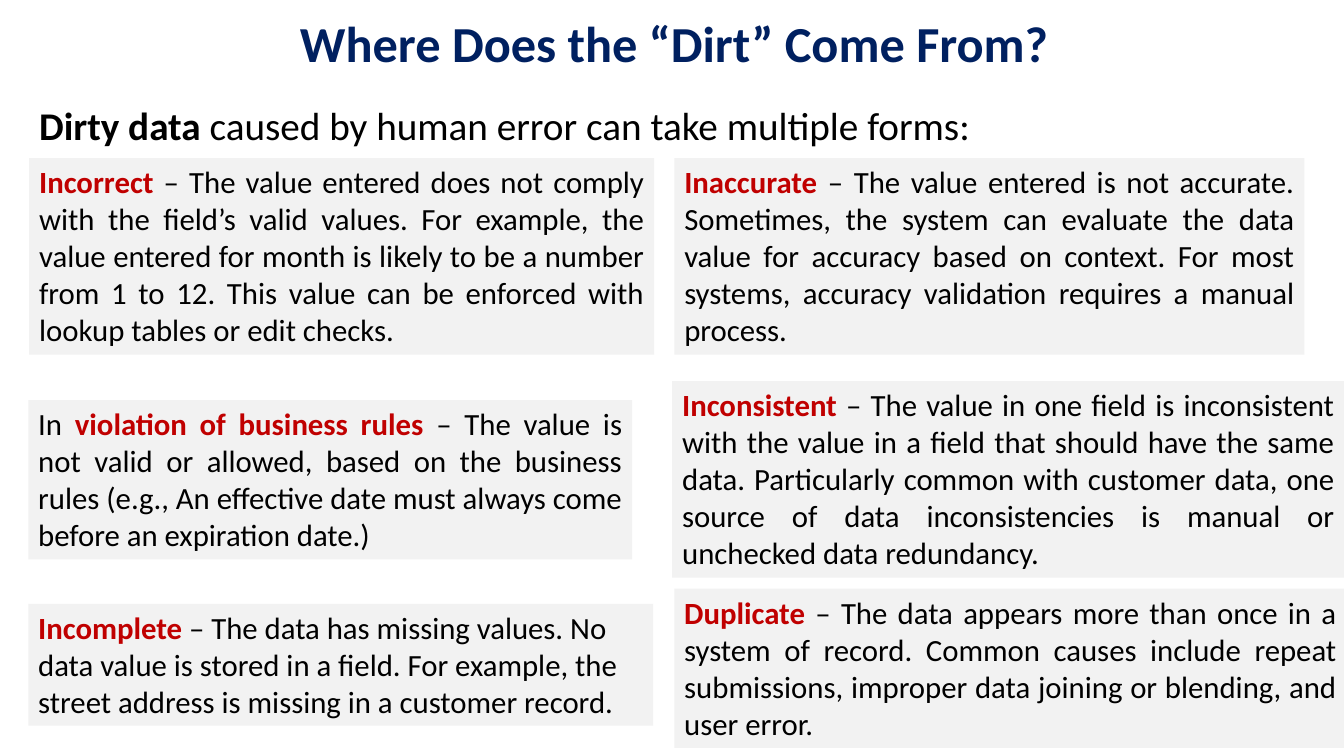
from pptx import Presentation
from pptx.dml.color import RGBColor
from pptx.enum.shapes import MSO_SHAPE as Shape
from pptx.enum.text import MSO_ANCHOR as Anchor, PP_ALIGN as Align
from pptx.util import Pt

NAVY = RGBColor(0x00, 0x20, 0x60)
BLACK = RGBColor(0x00, 0x00, 0x00)
RED = RGBColor(0xC0, 0x00, 0x00)
GREY = RGBColor(0xF2, 0xF2, 0xF2)

CARDS = [
    ((20.9, 113, 446.4, 140.4), Align.JUSTIFY, "", "Incorrect",
     " – The value entered does not comply with the field’s valid values. For example, the value "
     "entered for month is likely to be a number from 1 to 12. This value can be enforced with "
     "lookup tables or edit checks."),
    ((481.7, 113, 450, 140.4), Align.JUSTIFY, "", "Inaccurate",
     " – The value entered is not accurate. Sometimes, the system can evaluate the data value for "
     "accuracy based on context. For most systems, accuracy validation requires a manual process."),
    ((20.2, 285.8, 431.3, 113.8), Align.JUSTIFY, "In ", "violation of business rules",
     " – The value is not valid or allowed, based on the business rules (e.g., An effective date "
     "must always come before an expiration date.)"),
    ((480.2, 272.2, 480.2, 140.4), Align.JUSTIFY, "", "Inconsistent",
     " – The value in one field is inconsistent with the value in a field that should have the "
     "same data. Particularly common with customer data, one source of data inconsistencies is "
     "manual or unchecked data redundancy."),
    ((20.2, 431.3, 446.4, 87.1), Align.LEFT, "", "Incomplete",
     " – The data has missing values. No data value is stored in a field. For example, the street "
     "address is missing in a customer record."),
    ((481.7, 420.5, 480.2, 113.8), Align.JUSTIFY, "", "Duplicate",
     " – The data appears more than once in a system of record. Common causes include repeat "
     "submissions, improper data joining or blending, and user error."),
]


def write_text(box, spans, size, align, anchor=Anchor.TOP, spacing=1.0):
    """Fill a box with one paragraph of (text, colour, bold) spans."""
    frame = box.text_frame
    frame.word_wrap = True
    frame.vertical_anchor = anchor
    para = frame.paragraphs[0]
    para.alignment = align
    para.line_spacing = spacing
    para.font.name = "Calibri"
    para.font.size = Pt(size)
    for text, colour, bold in spans:
        span = para.add_run()
        span.text = text
        span.font.color.rgb = colour
        span.font.bold = bold


def add_label(page, bounds, spans, size, align, anchor, spacing):
    """Add a plain text box."""
    box = page.shapes.add_textbox(*map(Pt, bounds))
    write_text(box, spans, size, align, anchor, spacing)


def add_card(page, bounds, align, lead, term, meaning):
    """Add a grey card that defines one form of dirty data."""
    card = page.shapes.add_shape(Shape.RECTANGLE, *map(Pt, bounds))
    card.shadow.inherit = False
    card.fill.solid()
    card.fill.fore_color.rgb = GREY
    card.line.fill.background()
    spans = [(lead, BLACK, False), (term, RED, True), (meaning, BLACK, False)]
    write_text(card, [span for span in spans if span[0]], 22, align)


def main():
    """Build the slide and save it."""
    deck = Presentation()
    deck.slide_width, deck.slide_height = Pt(960), Pt(540)
    page = deck.slides.add_slide(deck.slide_layouts[6])
    add_label(page, (67.7, 5.8, 828, 54.7),
              [("Where Does the “Dirt” Come From?", NAVY, True)],
              36, Align.CENTER, Anchor.MIDDLE, 0.9)
    add_label(page, (20.9, 75.6, 828, 37.4),
              [("Dirty data ", BLACK, True),
               ("caused by human error can take multiple forms:", BLACK, False)],
              28, Align.LEFT, Anchor.TOP, 0.8)
    for card in CARDS:
        add_card(page, *card)
    deck.save("out.pptx")


if __name__ == "__main__":
    main()
